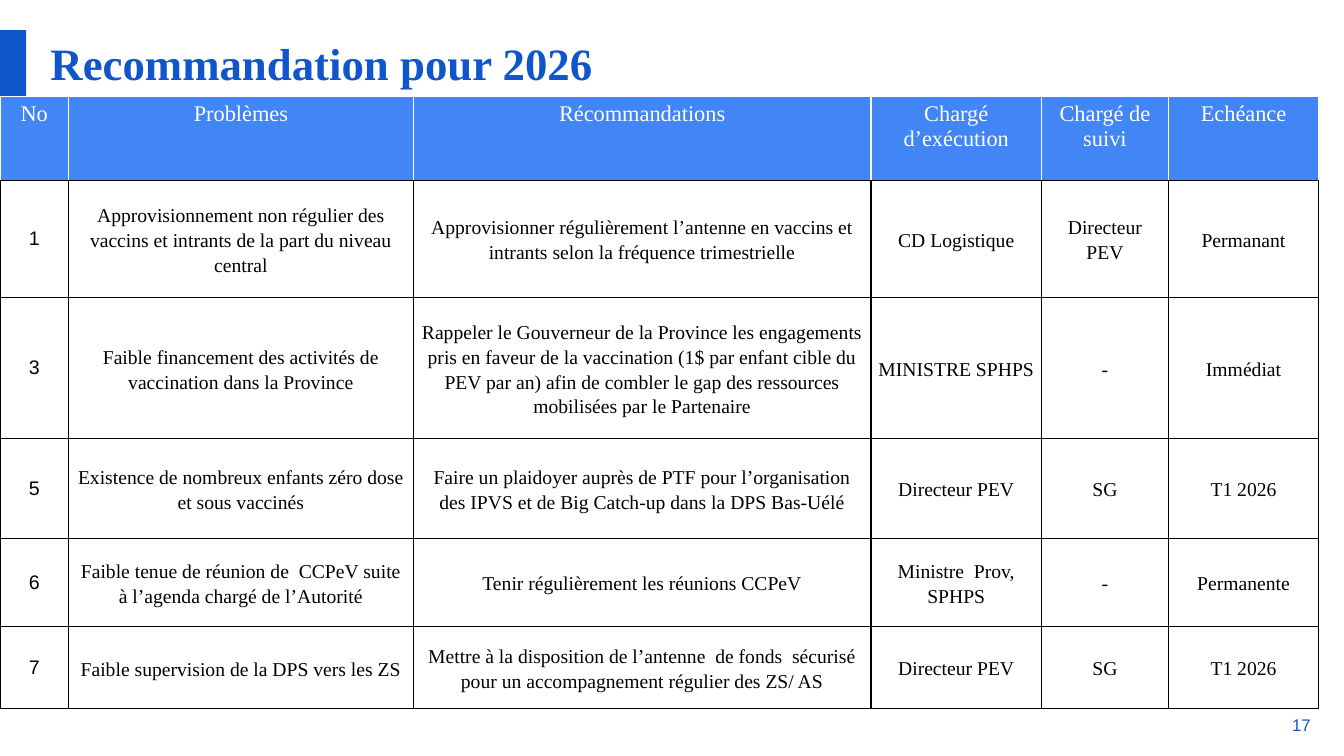
"""Build the slide of recommendations for 2026."""
from lxml import etree
from pptx import Presentation
from pptx.dml.color import RGBColor
from pptx.enum.shapes import MSO_CONNECTOR, MSO_SHAPE
from pptx.enum.text import MSO_ANCHOR, MSO_AUTO_SIZE, PP_ALIGN
from pptx.oxml.ns import qn
from pptx.util import Pt

LEFT, CENTER, RIGHT = PP_ALIGN.LEFT, PP_ALIGN.CENTER, PP_ALIGN.RIGHT
TOP, MIDDLE = MSO_ANCHOR.TOP, MSO_ANCHOR.MIDDLE
NOFIT = MSO_AUTO_SIZE.NONE
RECT = MSO_SHAPE.RECTANGLE
STRAIGHT = MSO_CONNECTOR.STRAIGHT
PX = 9144
SERIF, SANS = "Times New Roman", "Arial"
COLORS = {"blue": "1155CC", "head": "4285F4", "white": "FFFFFF",
          "black": "000000", "gray": "9E9E9E"}
WIDTHS = [68, 342, 454, 169, 126, 149]
HEIGHTS = [83, 116, 140, 99, 88, 81]
ROWS = [
    ["No", "Problèmes", "Récommandations", "Chargé d’exécution",
     "Chargé de suivi", "Echéance"],
    ["1", "Approvisionnement non régulier des vaccins et intrants de la part "
     "du niveau central",
     "Approvisionner régulièrement l’antenne en vaccins et intrants selon la "
     "fréquence trimestrielle", "CD Logistique", "Directeur PEV", "Permanant"],
    ["3", "Faible financement des activités de vaccination dans la Province",
     "Rappeler le Gouverneur de la Province les engagements pris en faveur de "
     "la vaccination (1$ par enfant cible du PEV par an) afin de combler le "
     "gap des ressources mobilisées par le Partenaire",
     "MINISTRE SPHPS", "-", "Immédiat"],
    ["5", "Existence de nombreux enfants zéro dose et sous vaccinés",
     "Faire un plaidoyer auprès de PTF pour l’organisation des IPVS et de Big "
     "Catch-up dans la DPS Bas-Uélé", "Directeur PEV", "SG", "T1 2026"],
    ["6", "Faible tenue de réunion de  CCPeV suite à l’agenda chargé de "
     "l’Autorité", "Tenir régulièrement les réunions CCPeV",
     "Ministre  Prov, SPHPS", "-", "Permanente"],
    ["7", "Faible supervision de la DPS vers les ZS",
     "Mettre à la disposition de l’antenne  de fonds  sécurisé pour un "
     "accompagnement régulier des ZS/ AS", "Directeur PEV", "SG", "T1 2026"],
]


def write(frame, text, size, face, color, align, bold=False):
    para = frame.paragraphs[0]
    para.alignment = align
    run = para.add_run()
    run.text = text
    font = run.font
    font.size, font.name, font.bold = Pt(size), face, bold
    font.color.rgb = RGBColor.from_string(COLORS[color])
    return para


def edge(cell, side, color):
    line = etree.SubElement(cell._tc.get_or_add_tcPr(), qn("a:ln" + side),
                            w=str(Pt(1)))
    fill = etree.SubElement(line, qn("a:solidFill"))
    etree.SubElement(fill, qn("a:srgbClr"), val=COLORS[color])


deck = Presentation()
deck.slide_width, deck.slide_height = 1333 * PX, 750 * PX
slide = deck.slides.add_slide(deck.slide_layouts[5])
shapes = slide.shapes

title = shapes.title
title.left, title.top, title.width, title.height = (
    50 * PX, 35 * PX, 1233 * PX, 80 * PX)
page = shapes.add_textbox(1275 * PX, 710 * PX, 25 * PX, 18 * PX)
for box, anchor in ((title, TOP), (page, MIDDLE)):
    frame = box.text_frame
    frame.margin_left = frame.margin_right = 0
    frame.margin_top = frame.margin_bottom = 0
    frame.word_wrap = True
    frame.auto_size = NOFIT
    frame.vertical_anchor = anchor
write(title.text_frame, "Recommandation pour 2026", 32, SERIF, "blue", LEFT, True)
write(page.text_frame, "17", 12, SANS, "blue", RIGHT)

bar = shapes.add_shape(RECT, 0, 30 * PX, 26 * PX, 72 * PX)
bar.shadow.inherit = False
bar.fill.solid()
bar.fill.fore_color.rgb = RGBColor.from_string(COLORS["blue"])
bar.line.fill.background()

rule = shapes.add_connector(STRAIGHT, 29 * PX, 703 * PX, 1302 * PX, 703 * PX)
rule.line.color.rgb = RGBColor.from_string(COLORS["gray"])
rule.line.width = Pt(1)
etree.SubElement(rule._element.spPr, qn("a:effectLst"))

table = shapes.add_table(len(ROWS), len(WIDTHS), 0, 96 * PX,
                         sum(WIDTHS) * PX, sum(HEIGHTS) * PX).table
table.first_row = table.horz_banding = False
for col, width in zip(table.columns, WIDTHS):
    col.width = width * PX
for row, height in zip(table.rows, HEIGHTS):
    row.height = height * PX

for r, texts in enumerate(ROWS):
    for c, text in enumerate(texts):
        cell = table.cell(r, c)
        head = r == 0
        for side in "LRTB":
            edge(cell, side, "white" if head and side != "B" else "black")
        cell.fill.solid()
        cell.fill.fore_color.rgb = RGBColor.from_string(
            COLORS["head" if head else "white"])
        cell.vertical_anchor = TOP if head else MIDDLE
        if (r == 2 and c > 0) or (r > 2 and c == 1):
            cell.margin_left = cell.margin_right = 7 * PX
            cell.margin_top, cell.margin_bottom = PX, 0
        if head:
            write(cell.text_frame, text, 16, SERIF, "white", CENTER)
        elif c == 0:
            write(cell.text_frame, text, 14, SANS, "black", CENTER)
        else:
            para = write(cell.text_frame, text, 14, SERIF, "black", CENTER)
            para.line_spacing = 1.15
            para.space_after = Pt(10)

deck.save("out.pptx")
